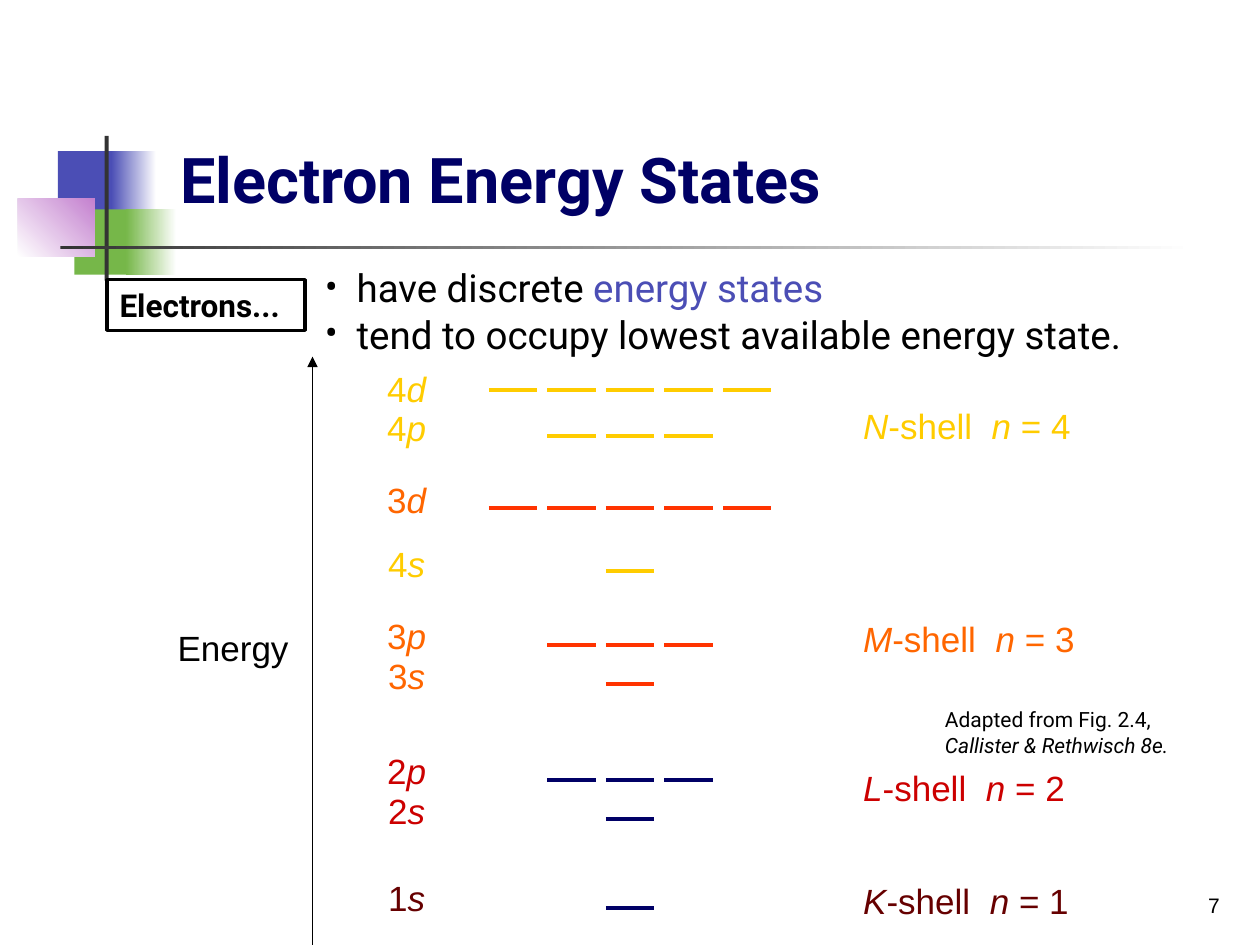
from lxml import etree
from pptx import Presentation
from pptx.dml.color import RGBColor
from pptx.enum import shapes, text
from pptx.oxml.ns import qn
from pptx.util import Cm, Pt

COLORS = {
    "black": "000000", "white": "FFFFFF", "navy": "000066", "blue": "4B4EB5",
    "green": "76B749", "mauve": "C481CF", "charcoal": "333333",
    "yellow": "FFCC00", "orange": "FF6600", "vermilion": "FF3300",
    "red": "CC0000", "maroon": "660000",
}

TITLE = "Electron Energy States"
FACTS = [
    [("have discrete ", "black"), ("energy states", "blue")],
    [("tend to occupy lowest available energy state.", "black")],
]
CITATION = [("Adapted from Fig. 2.4, ", False), ("Callister & Rethwisch 8e.", True)]

ORNAMENTS = [
    ((1.17, 3.05, 1.22, 1.32), ["blue"], 0),
    ((2.24, 3.05, 0.91, 1.32), ["blue", "white"], 0),
    ((1.5, 4.22, 1.17, 1.32), ["green"], 0),
    ((2.54, 4.22, 1.02, 1.32), ["green", "white"], 0),
    ((0.36, 4.01, 1.55, 1.17), ["white", "mauve"], 45),
    ((2.11, 2.74, 0.08, 2.92), ["charcoal"], 0),
    ((1.22, 4.95, 22.86, 0.08), ["charcoal", "white"], 0),
]

# shell number, subshell, label top, level height, label colour, level colour
SUBSHELLS = [
    ("1", "s", 17.55, 18.31, "maroon", "navy"),
    ("2", "s", 15.8, 16.51, "red", "navy"),
    ("2", "p", 14.99, 15.72, "red", "navy"),
    ("3", "s", 13.06, 13.79, "orange", "vermilion"),
    ("3", "p", 12.27, 13.0, "orange", "vermilion"),
    ("4", "s", 10.82, 11.51, "yellow", "yellow"),
    ("3", "d", 9.53, 10.24, "orange", "vermilion"),
    ("4", "p", 8.08, 8.79, "yellow", "yellow"),
    ("4", "d", 7.29, 7.87, "yellow", "yellow"),
]
ORBITALS = {"s": 1, "p": 3, "d": 5}
SHELLS = [
    ("K", 1, 17.6, "maroon"),
    ("L", 2, 15.32, "red"),
    ("M", 3, 12.32, "orange"),
    ("N", 4, 8.03, "yellow"),
]

LABEL_CENTER, LABEL_WIDTH, LABEL_HEIGHT = 8.2, 1.7, 1.12
LEVEL_CENTER, LEVEL_WIDTH, LEVEL_PITCH = 12.7, 0.97, 1.18
SHELL_LEFT, SHELL_WIDTH = 17.15, 4.8


def rgb(color):
    return RGBColor.from_string(COLORS[color])


def box(left, top, width, height):
    return Cm(left), Cm(top), Cm(width), Cm(height)


def place(holder, *bounds):
    holder.left, holder.top, holder.width, holder.height = box(*bounds)


def style(run, size, color, font="Arial", bold=False, italic=False):
    run.font.size = Pt(size)
    run.font.name = font
    run.font.color.rgb = rgb(color)
    run.font.bold = bold
    run.font.italic = italic


def write(paragraph, parts, size, color, font="Arial"):
    for words, italic in parts:
        run = paragraph.add_run()
        run.text = words
        style(run, size, color, font, italic=italic)


def add_text(parent, bounds, parts, size, color, font="Arial", align="LEFT", margin=None):
    frame = parent.add_textbox(*box(*bounds)).text_frame
    frame.word_wrap = True
    if margin is not None:
        frame.margin_left = frame.margin_right = Cm(margin)
        frame.margin_top = frame.margin_bottom = Cm(margin)
    frame.paragraphs[0].alignment = getattr(text.PP_ALIGN, align)
    write(frame.paragraphs[0], parts, size, color, font)
    return frame


def add_line(parent, start, end, color, width):
    line = parent.add_connector(
        shapes.MSO_CONNECTOR.STRAIGHT, *(Cm(value) for value in start + end))
    line.line.color.rgb = rgb(color)
    line.line.width = Pt(width)
    etree.SubElement(line._element.spPr, qn("a:effectLst"))
    return line


def add_ornaments(slide):
    for bounds, tones, angle in ORNAMENTS:
        ornament = slide.shapes.add_shape(shapes.MSO_SHAPE.RECTANGLE, *box(*bounds))
        ornament.shadow.inherit = False
        ornament.line.fill.background()
        if len(tones) == 1:
            ornament.fill.solid()
            ornament.fill.fore_color.rgb = rgb(tones[0])
            continue
        ornament.fill.gradient()
        ornament.fill.gradient_angle = angle
        for stop, tone in zip(ornament.fill.gradient_stops, tones):
            stop.color.rgb = rgb(tone)


def add_title(slide):
    title = slide.shapes.title
    place(title, 3.38, 0.43, 21.64, 4.06)
    frame = title.text_frame
    frame.text = TITLE
    frame.auto_size = text.MSO_AUTO_SIZE.NONE
    frame.vertical_anchor = text.MSO_ANCHOR.BOTTOM
    frame.paragraphs[0].alignment = text.PP_ALIGN.LEFT
    style(frame.paragraphs[0].runs[0], 36, "navy", "Roboto", bold=True)


def add_facts(slide):
    body = slide.placeholders[1]
    place(body, 6.55, 5.33, 17.02, 1.85)
    frame = body.text_frame
    frame.auto_size = text.MSO_AUTO_SIZE.NONE
    frame.margin_left = frame.margin_right = frame.margin_top = frame.margin_bottom = 0
    for index, fact in enumerate(FACTS):
        paragraph = frame.add_paragraph() if index else frame.paragraphs[0]
        properties = paragraph._p.get_or_add_pPr()
        properties.set("marL", str(Cm(0.64)))
        properties.set("indent", str(-Cm(0.64)))
        etree.SubElement(properties, qn("a:buFont")).set("typeface", "Roboto")
        etree.SubElement(properties, qn("a:buChar")).set("char", "•")
        paragraph.space_before = Pt(0)
        for words, color in fact:
            write(paragraph, [(words, False)], 22, color, "Roboto")


def add_diagram(slide):
    diagram = slide.shapes.add_group_shape().shapes
    for number, subshell, label_top, level, label_color, level_color in SUBSHELLS:
        count = ORBITALS[subshell]
        for slot in range(count):
            middle = LEVEL_CENTER + (slot - (count - 1) / 2) * LEVEL_PITCH
            add_line(diagram, (middle - LEVEL_WIDTH / 2, level),
                     (middle + LEVEL_WIDTH / 2, level), level_color, 2.25)
        bounds = (LABEL_CENTER - LABEL_WIDTH / 2, label_top, LABEL_WIDTH, LABEL_HEIGHT)
        add_text(diagram, bounds, [(number, False), (subshell, True)], 20,
                 label_color, align="CENTER")
    for letter, number, top, color in SHELLS:
        parts = [(letter, True), ("-shell  ", False), ("n ", True), (f"= {number}", False)]
        add_text(diagram, (SHELL_LEFT, top, SHELL_WIDTH, LABEL_HEIGHT), parts, 20, color)
    add_text(diagram, (3.33, 12.5, 2.74, LABEL_HEIGHT), [("Energy", False)], 20,
             "black", align="CENTER")
    axis = add_line(slide.shapes, (6.3, 19.15), (6.3, 7.19), "black", 0.75)
    etree.SubElement(axis.line._get_or_add_ln(), qn("a:tailEnd")).set("type", "triangle")


def add_electrons(slide):
    electrons = slide.shapes.add_shape(
        shapes.MSO_SHAPE.RECTANGLE, *box(2.16, 5.64, 3.99, 1.02))
    electrons.shadow.inherit = False
    electrons.fill.solid()
    electrons.fill.fore_color.rgb = rgb("white")
    electrons.line.color.rgb = rgb("black")
    electrons.line.width = Pt(2)
    frame = electrons.text_frame
    frame.text = "Electrons..."
    frame.vertical_anchor = text.MSO_ANCHOR.TOP
    frame.paragraphs[0].alignment = text.PP_ALIGN.LEFT
    style(frame.paragraphs[0].runs[0], 18, "black", "Roboto", bold=True)


def main():
    deck = Presentation()
    deck.slide_width, deck.slide_height = Cm(25.4), Cm(19.05)
    slide = deck.slides.add_slide(deck.slide_layouts[1])
    add_ornaments(slide)
    add_title(slide)
    add_diagram(slide)
    add_facts(slide)
    add_electrons(slide)
    add_text(slide.shapes, (19.05, 14.25, 5.28, 1.02), CITATION, 12, "black",
             "Roboto", margin=0)
    page = add_text(slide.shapes, (19.56, 17.35, 5.28, 1.27), [("7", False)], 12,
                    "black", align="RIGHT")
    page.vertical_anchor = text.MSO_ANCHOR.BOTTOM
    deck.save("out.pptx")


if __name__ == "__main__":
    main()
